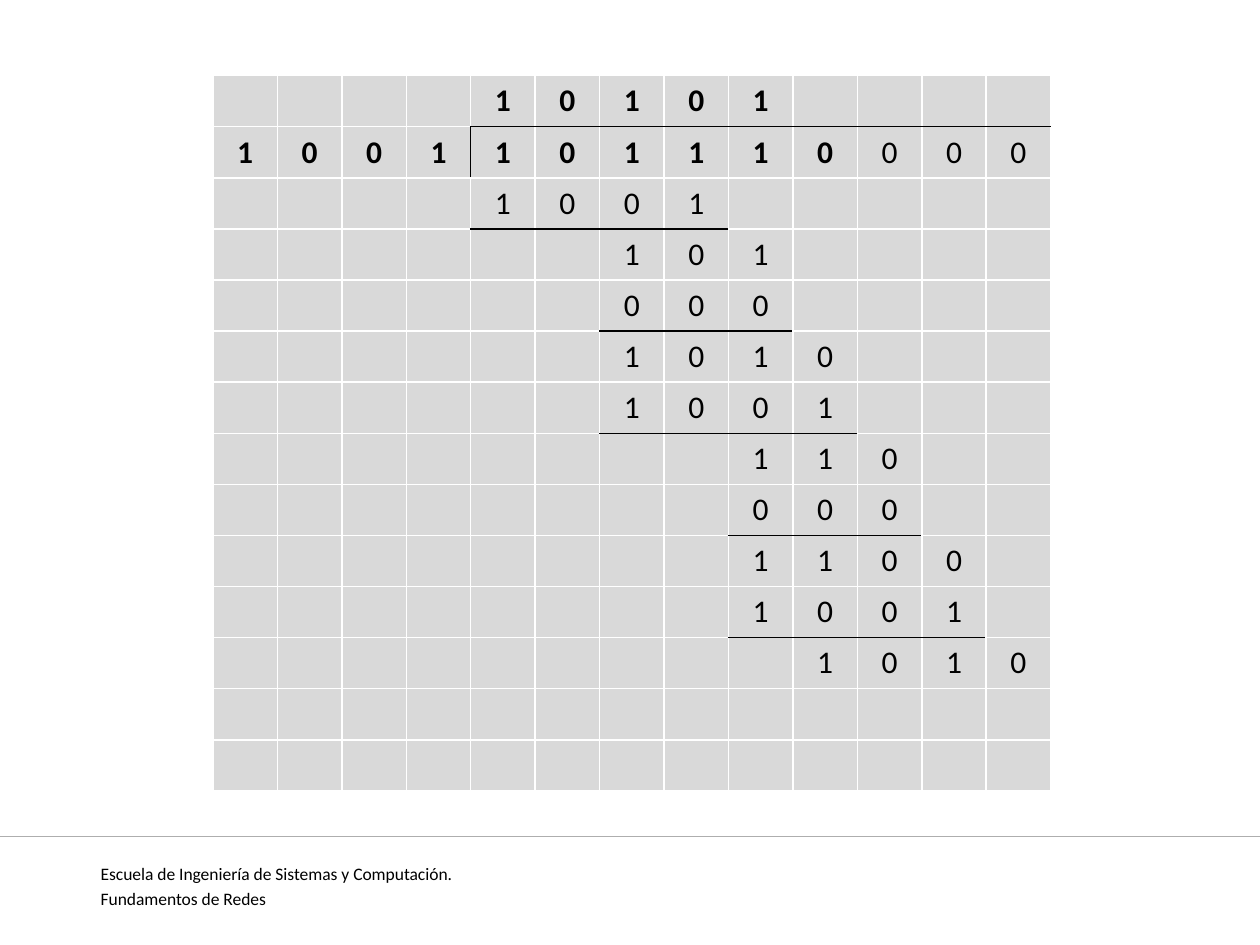
from dataclasses import dataclass

from lxml import etree
from pptx import Presentation
from pptx.dml.color import RGBColor
from pptx.enum.shapes import MSO_CONNECTOR
from pptx.enum.text import PP_ALIGN
from pptx.oxml.ns import qn
from pptx.util import Inches, Pt

STRAIGHT = MSO_CONNECTOR.STRAIGHT
CENTER = PP_ALIGN.CENTER
JUSTIFY = PP_ALIGN.JUSTIFY

BLACK = RGBColor(0x00, 0x00, 0x00)
WHITE = RGBColor(0xFF, 0xFF, 0xFF)
CELL_GRAY = RGBColor(0xD9, 0xD9, 0xD9)
LINE_GRAY = RGBColor(0xAE, 0xAE, 0xAE)

FONT = "Calibri"
PAGE_WIDTH, PAGE_HEIGHT = Inches(10), Inches(7.5)
ROWS, COLUMNS = 14, 13
BLANK_LAYOUT = 6
FOOTER = ("Escuela de Ingeniería de Sistemas y Computación.", "Fundamentos de Redes")


@dataclass(frozen=True)
class Number:
    row: int
    column: int
    digits: str
    bold: bool = False
    ruled_columns: int = 0


DIVISOR = Number(1, 0, "1001", bold=True)
DIVISION = (
    Number(0, 4, "10101", bold=True, ruled_columns=9),
    DIVISOR,
    Number(1, 4, "101110", bold=True),
    Number(1, 10, "000"),
    Number(2, 4, "1001", ruled_columns=4),
    Number(3, 6, "101"),
    Number(4, 6, "000", ruled_columns=3),
    Number(5, 6, "1010"),
    Number(6, 6, "1001", ruled_columns=4),
    Number(7, 8, "110"),
    Number(8, 8, "000", ruled_columns=3),
    Number(9, 8, "1100"),
    Number(10, 8, "1001", ruled_columns=4),
    Number(11, 9, "1010"),
)
RULED = {
    (number.row, number.column + offset)
    for number in DIVISION
    for offset in range(number.ruled_columns)
}
BRACKET = (DIVISOR.row, DIVISOR.column + len(DIVISOR.digits))


def write(para, text: str, *, size: float, bold: bool = False, align=CENTER) -> None:
    para.alignment = align
    span = para.add_run()
    span.text = text
    span.font.name = FONT
    span.font.size = Pt(size)
    span.font.bold = bold
    span.font.color.rgb = BLACK


def add_border(cell, side: str, color: RGBColor) -> None:
    properties = cell._tc.get_or_add_tcPr()
    border = etree.SubElement(properties, qn(f"a:ln{side}"), w=str(Pt(1)))
    fill = etree.SubElement(border, qn("a:solidFill"))
    etree.SubElement(fill, qn("a:srgbClr"), val=str(color))


def style_cell(cell, row: int, column: int) -> None:
    black_sides = {
        "L": (row, column) == BRACKET,
        "R": (row, column + 1) == BRACKET,
        "T": (row - 1, column) in RULED,
        "B": (row, column) in RULED,
    }
    for side, is_black in black_sides.items():
        add_border(cell, side, BLACK if is_black else WHITE)
    cell.fill.solid()
    cell.fill.fore_color.rgb = CELL_GRAY


def add_division(page) -> None:
    frame = page.shapes.add_table(
        ROWS, COLUMNS, Inches(1.69), Inches(0.6), Inches(6.65), Inches(5.68)
    )
    table = frame.table
    table.first_row = False
    table.horz_banding = False
    for row in range(ROWS):
        for column in range(COLUMNS):
            style_cell(table.cell(row, column), row, column)
    for number in DIVISION:
        for column, digit in enumerate(number.digits, number.column):
            para = table.cell(number.row, column).text_frame.paragraphs[0]
            write(para, digit, size=18, bold=number.bold)


def add_footer(page) -> None:
    height = Inches(6.64)
    line = page.shapes.add_connector(STRAIGHT, 0, height, PAGE_WIDTH, height)
    line.line.color.rgb = LINE_GRAY
    line.line.width = Pt(0.75)
    etree.SubElement(line._element.spPr, qn("a:effectLst"))

    box = page.shapes.add_textbox(Inches(0.7), Inches(6.8), Inches(8.98), Inches(0.39))
    frame = box.text_frame
    frame.word_wrap = True
    for index, text in enumerate(FOOTER):
        para = frame.add_paragraph() if index else frame.paragraphs[0]
        if index:
            para.space_before = Pt(2)
        write(para, text, size=10, align=JUSTIFY)


def main() -> None:
    deck = Presentation()
    deck.slide_width, deck.slide_height = PAGE_WIDTH, PAGE_HEIGHT
    page = deck.slides.add_slide(deck.slide_layouts[BLANK_LAYOUT])
    add_footer(page)
    add_division(page)
    deck.save("out.pptx")


if __name__ == "__main__":
    main()
